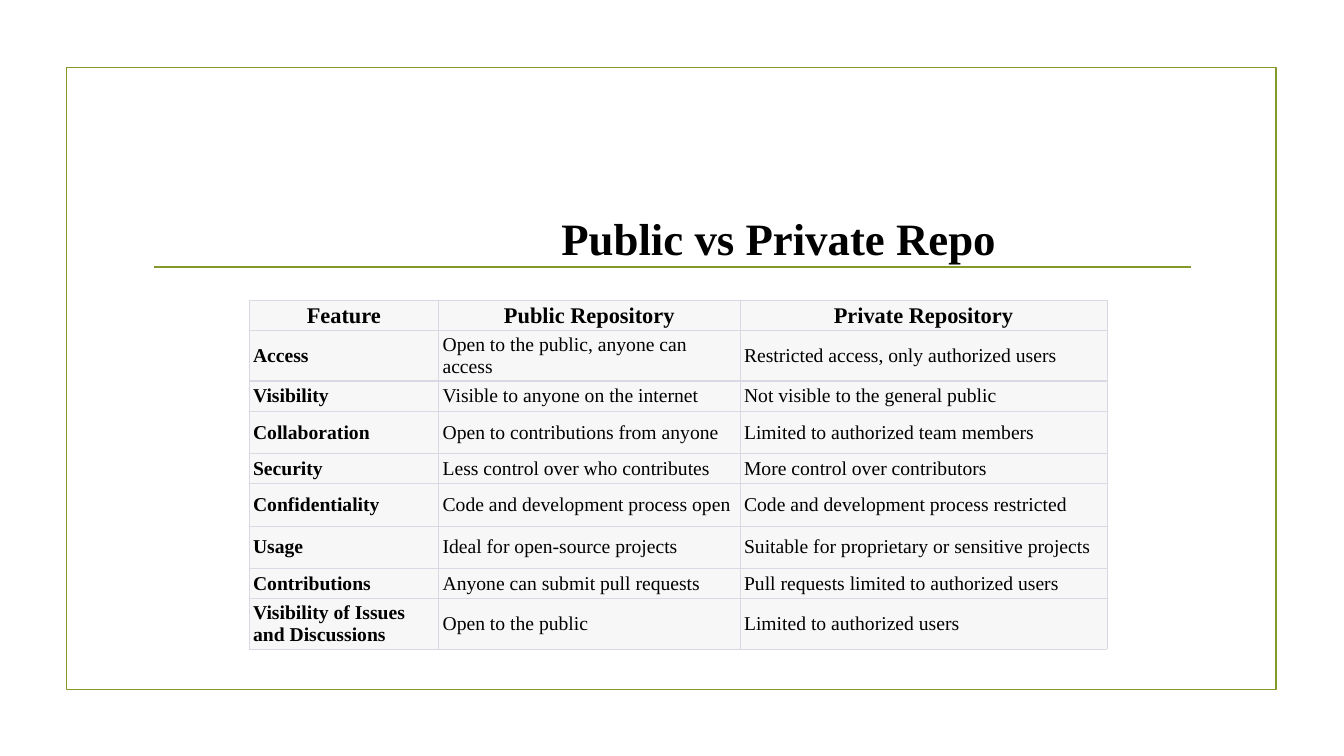
import pptx
import pptx.util
import pptx.dml.color
import pptx.enum.shapes
import pptx.enum.text
import pptx.oxml
import pptx.oxml.ns

RGBColor = pptx.dml.color.RGBColor
Anchor = pptx.enum.text.MSO_ANCHOR
Align = pptx.enum.text.PP_ALIGN

OLIVE = RGBColor(0x83, 0x99, 0x2A)
BLACK = RGBColor(0x00, 0x00, 0x00)
CELL_GREY = RGBColor(0xF7, 0xF7, 0xF8)
BORDER_GREY = RGBColor(0xD9, 0xD9, 0xE3)

COLUMN_WIDTHS = [188, 299, 364]
ROW_HEIGHTS = [30, 50, 30, 42, 30, 42, 42, 30, 50]
COMPARISON = [
    ("Feature", "Public Repository", "Private Repository"),
    ("Access", "Open to the public, anyone can access",
     "Restricted access, only authorized users"),
    ("Visibility", "Visible to anyone on the internet", "Not visible to the general public"),
    ("Collaboration", "Open to contributions from anyone", "Limited to authorized team members"),
    ("Security", "Less control over who contributes", "More control over contributors"),
    ("Confidentiality", "Code and development process open",
     "Code and development process restricted"),
    ("Usage", "Ideal for open-source projects", "Suitable for proprietary or sensitive projects"),
    ("Contributions", "Anyone can submit pull requests",
     "Pull requests limited to authorized users"),
    ("Visibility of Issues and Discussions", "Open to the public", "Limited to authorized users"),
]


def px(length):
    """100 px to the inch."""
    return pptx.util.Emu(length * 9144)


class SlideBuilder:
    font_name = "Times New Roman"
    line_width = pptx.util.Pt(1.25)

    def __init__(self, slide):
        self.slide = slide

    def format_text(self, frame, size, bold, align):
        for paragraph in frame.paragraphs:
            paragraph.alignment = align
            for run in paragraph.runs:
                run.font.name = self.font_name
                run.font.size = pptx.util.Pt(size)
                run.font.bold = bold
                run.font.color.rgb = BLACK

    def frame(self, left, top, width, height):
        border = self.slide.shapes.add_shape(
            pptx.enum.shapes.MSO_SHAPE.RECTANGLE, px(left), px(top), px(width), px(height))
        border.shadow.inherit = False
        border.fill.background()
        border.line.color.rgb = OLIVE
        border.line.width = self.line_width

    def rule(self, left, right, y):
        divider = self.slide.shapes.add_connector(
            pptx.enum.shapes.MSO_CONNECTOR.STRAIGHT, px(left), px(y), px(right), px(y))
        divider.line.color.rgb = OLIVE
        divider.line.width = self.line_width
        divider._element.spPr.append(pptx.oxml.parse_xml(
            f"<a:effectLst {pptx.oxml.ns.nsdecls('a')}/>"))

    def title(self, text, left, top, width, height):
        heading = self.slide.shapes.title
        heading.left, heading.top = px(left), px(top)
        heading.width, heading.height = px(width), px(height)
        heading.text_frame.text = text
        heading.text_frame.vertical_anchor = Anchor.MIDDLE
        self.format_text(heading.text_frame, 32, True, Align.CENTER)

    def cell_borders(self, cell, widths):
        properties = cell._tc.get_or_add_tcPr()
        for side, width in widths.items():
            properties.append(pptx.oxml.parse_xml(
                f'<a:ln{side} {pptx.oxml.ns.nsdecls("a")} w="{pptx.util.Pt(width)}">'
                f'<a:solidFill><a:srgbClr val="{BORDER_GREY}"/></a:solidFill></a:ln{side}>'))

    def table(self, rows, left, top, widths, heights):
        grid = self.slide.shapes.add_table(
            len(rows), len(widths), px(left), px(top), px(sum(widths)), px(sum(heights))).table
        for column, width in zip(grid.columns, widths):
            column.width = px(width)
        last = len(rows) - 1
        for r, (texts, height) in enumerate(zip(rows, heights)):
            grid.rows[r].height = px(height)
            header = r == 0
            for c, text in enumerate(texts):
                cell = grid.cell(r, c)
                cell.text_frame.text = text
                cell.margin_left = cell.margin_right = px(4)
                cell.margin_top = cell.margin_bottom = px(2)
                cell.vertical_anchor = Anchor.BOTTOM if header else Anchor.MIDDLE
                self.format_text(cell.text_frame, 16 if header else 14, header or c == 0,
                                 Align.CENTER if header else Align.LEFT)
                # Lines between rows are heavier than the outer edges
                self.cell_borders(cell, {"L": 0.75, "R": 0.75, "T": 0.75 if header else 1,
                                         "B": 0.75 if r == last else 1})
                cell.fill.solid()
                cell.fill.fore_color.rgb = CELL_GREY


def main():
    deck = pptx.Presentation()
    deck.slide_width, deck.slide_height = px(1333), px(750)
    title_only = deck.slide_layouts[5]
    builder = SlideBuilder(deck.slides.add_slide(title_only))

    # Olive frame and divider
    builder.frame(66, 67, 1200, 617)
    builder.rule(153, 1181, 265)

    # Heading
    builder.title("Public vs Private Repo", 446, 204, 653, 64)

    # Comparison table
    builder.table(COMPARISON, 247, 298, COLUMN_WIDTHS, ROW_HEIGHTS)

    deck.save("out.pptx")


if __name__ == "__main__":
    main()
